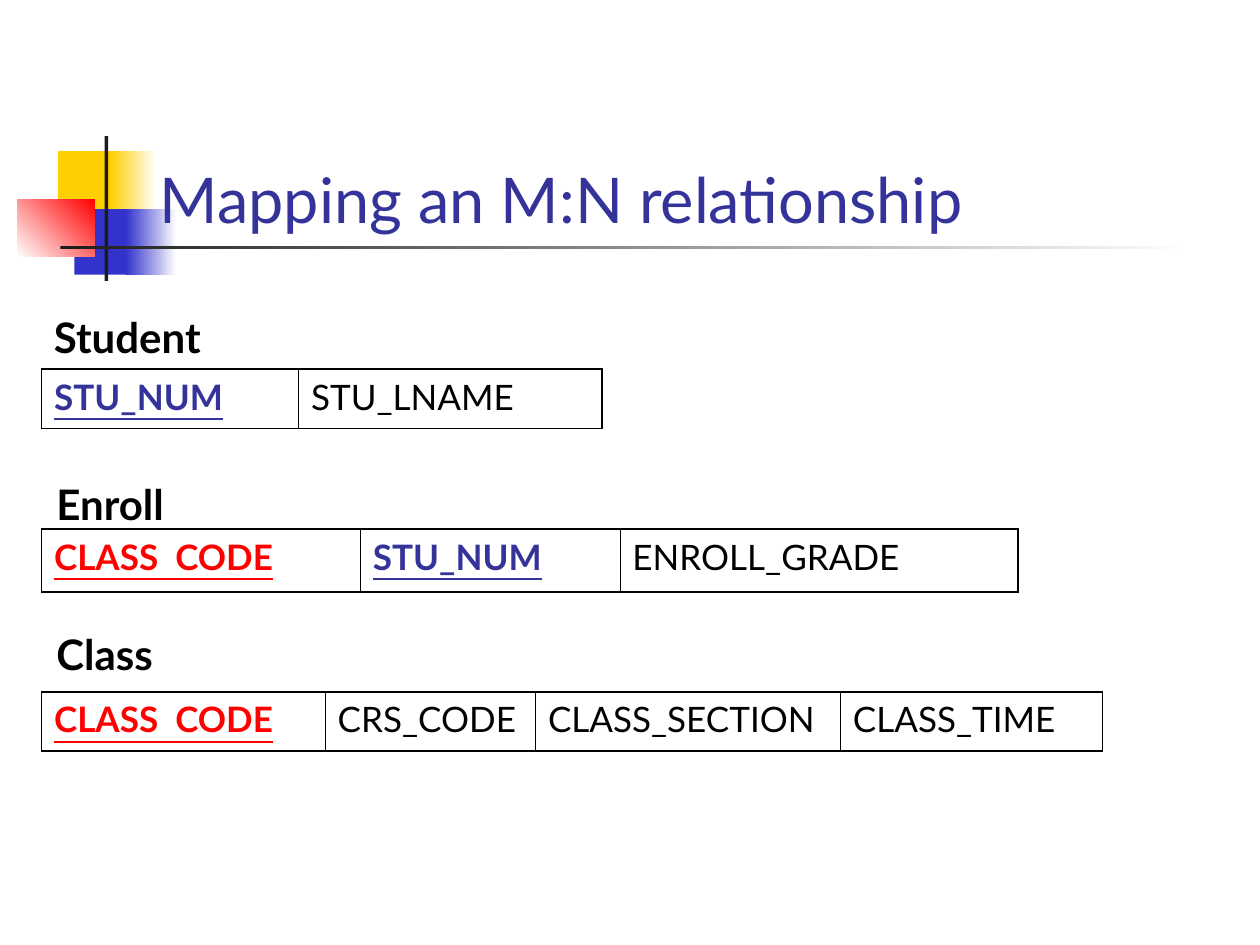
from lxml import etree
from pptx import Presentation
from pptx.dml.color import RGBColor
from pptx.enum.shapes import MSO_SHAPE
from pptx.enum.text import MSO_ANCHOR
from pptx.oxml.ns import qn
from pptx.util import Inches, Pt

RECTANGLE = MSO_SHAPE.RECTANGLE
ANCHOR_TOP, ANCHOR_BOTTOM = MSO_ANCHOR.TOP, MSO_ANCHOR.BOTTOM

BLACK = RGBColor(0x00, 0x00, 0x00)
WHITE = RGBColor(0xFF, 0xFF, 0xFF)
YELLOW = RGBColor(0xFF, 0xCF, 0x01)
BLUE = RGBColor(0x33, 0x33, 0xCC)
INDIGO = RGBColor(0x33, 0x33, 0x99)
RED = RGBColor(0xFF, 0x00, 0x00)
CHARCOAL = RGBColor(0x1C, 0x1C, 0x1C)

FONT = "Lato"
OUTER_BORDER, INNER_BORDER = Pt(1.08), Pt(0.45)


def add_span(para, text, size, color, bold=False, underline=False):
    span = para.add_run()
    span.text = text
    font = span.font
    font.name, font.size, font.color.rgb = FONT, Pt(size), color
    font.bold, font.underline = bold, underline


def add_label(page, box, text, size, color, bold=False, anchor=ANCHOR_TOP):
    frame = page.shapes.add_textbox(*map(Inches, box)).text_frame
    frame.word_wrap = True
    frame.vertical_anchor = anchor
    add_span(frame.paragraphs[0], text, size, color, bold)


def add_block(page, box, start, end=None, angle=0):
    """Add a borderless rectangle, solid or fading from start to end."""
    block = page.shapes.add_shape(RECTANGLE, *map(Inches, box))
    block.shadow.inherit = False
    block.line.fill.background()
    if end is None:
        block.fill.solid()
        block.fill.fore_color.rgb = start
        return
    block.fill.gradient()
    block.fill.gradient_angle = angle
    for stop, position, color in zip(block.fill.gradient_stops, (0, 1), (start, end)):
        stop.position = position
        stop.color.rgb = color


def add_ornament(page, left, top):
    """Add the overlapping colour blocks and the crossed rules."""
    def place(x, y, width, height, *colors, angle=0):
        add_block(page, (left + x, top + y, width, height), *colors, angle=angle)

    place(0.32, 0.12, 0.48, 0.52, YELLOW)
    place(0.74, 0.12, 0.36, 0.52, YELLOW, WHITE)
    place(0.45, 0.58, 0.46, 0.52, BLUE)
    place(0.86, 0.58, 0.4, 0.52, BLUE, WHITE)
    place(0, 0.5, 0.61, 0.46, WHITE, RED, angle=45)
    place(0.69, 0, 0.03, 1.15, CHARCOAL)
    place(0.34, 0.87, 9, 0.03, CHARCOAL, WHITE)


def set_borders(cell, first, last):
    properties = cell._tc.get_or_add_tcPr()
    widths = {
        "a:lnL": OUTER_BORDER if first else INNER_BORDER,
        "a:lnR": OUTER_BORDER if last else INNER_BORDER,
        "a:lnT": OUTER_BORDER,
        "a:lnB": OUTER_BORDER,
    }
    for tag, width in widths.items():
        line = etree.SubElement(properties, qn(tag), w=str(int(width)))
        fill = etree.SubElement(line, qn("a:solidFill"))
        etree.SubElement(fill, qn("a:srgbClr"), val=str(BLACK))


def add_relation(page, box, fields):
    """Add a one-row table; each field is (text, width, key colour or None)."""
    table = page.shapes.add_table(1, len(fields), *map(Inches, box)).table
    table.first_row = table.horz_banding = False
    for index, (text, width, key_color) in enumerate(fields):
        table.columns[index].width = Inches(width)
        cell = table.cell(0, index)
        set_borders(cell, index == 0, index == len(fields) - 1)
        cell.fill.background()
        is_key = key_color is not None
        add_span(cell.text_frame.paragraphs[0], text, 20,
                 key_color if is_key else BLACK, is_key, is_key)


def main():
    deck = Presentation()
    deck.slide_width, deck.slide_height = Inches(10), Inches(7.5)
    page = deck.slides.add_slide(deck.slide_layouts[6])

    # Heading
    add_ornament(page, 0.14, 1.08)
    add_label(page, (1.17, 0.67, 8.52, 1.25), "Mapping an M:N relationship",
              36, INDIGO, anchor=ANCHOR_BOTTOM)

    # Relations: name, name box, table box, fields
    relations = [
        ("Student", (0.33, 2.42, 2.25, 0.5), (0.33, 2.93, 4.45, 0.47),
         [("STU_NUM", 2.04, INDIGO), ("STU_LNAME", 2.41, None)]),
        ("Enroll", (0.35, 3.75, 2.17, 0.5), (0.33, 4.2, 7.75, 0.5),
         [("CLASS  CODE", 2.53, RED), ("STU_NUM", 2.06, INDIGO),
          ("ENROLL_GRADE", 3.16, None)]),
        ("Class", (0.35, 4.94, 1.67, 0.5), (0.33, 5.49, 8.42, 0.47),
         [("CLASS  CODE", 2.25, RED), ("CRS_CODE", 1.67, None),
          ("CLASS_SECTION", 2.42, None), ("CLASS_TIME", 2.08, None)]),
    ]
    for name, name_box, table_box, fields in relations:
        add_label(page, name_box, name, 24, BLACK, bold=True)
        add_relation(page, table_box, fields)

    deck.save("out.pptx")


if __name__ == "__main__":
    main()
